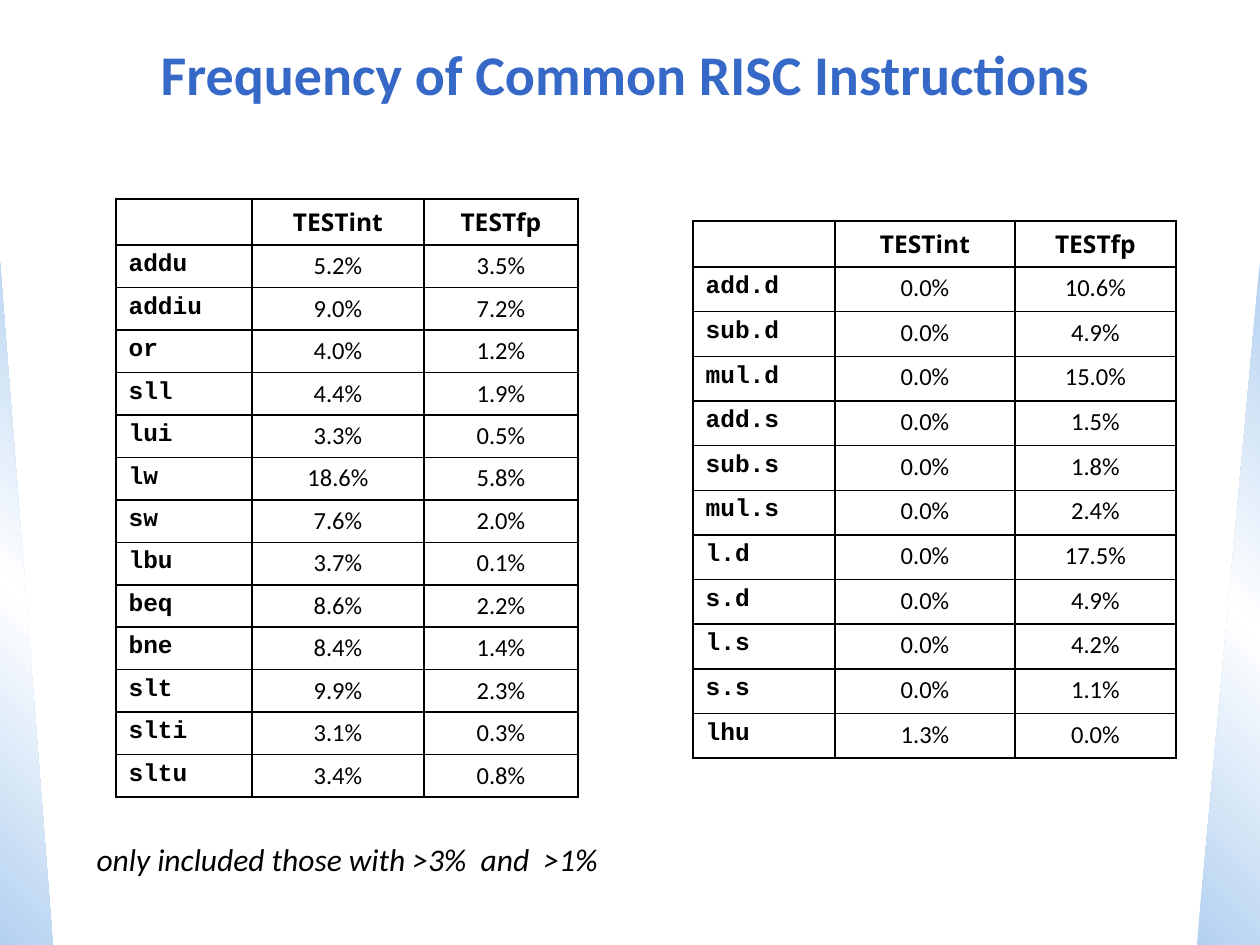
from dataclasses import dataclass
from lxml import etree
from pptx import Presentation
from pptx.dml.color import RGBColor
from pptx.enum.shapes import MSO_SHAPE
from pptx.enum.text import MSO_ANCHOR, MSO_AUTO_SIZE, PP_ALIGN
from pptx.oxml import parse_xml
from pptx.oxml.ns import nsdecls, qn
from pptx.util import Pt

TRI = MSO_SHAPE.RIGHT_TRIANGLE
TOP, MID = MSO_ANCHOR.TOP, MSO_ANCHOR.MIDDLE
LEFT, MIDST = PP_ALIGN.LEFT, PP_ALIGN.CENTER
FIXED = MSO_AUTO_SIZE.NONE
PX = 914400 // 126


@dataclass(frozen=True)
class Theme:
    blue: str = "3568C7"
    ink: str = "000000"
    sky: str = "B3D1F0"
    pale: str = "FFFFFF"
    sans: str = "Calibri"
    head: str = "Noto Sans"
    code: str = "Courier New"
    big: int = 32
    note: int = 18
    cell: int = 14
    rule: int = 1


T = Theme()

TITLE = "Frequency of Common RISC Instructions"
NOTE = "only included those with >3%  and  >1%"
HEAD = ("", "TESTint", "TESTfp")
COMMON = [
    ("addu", 5.2, 3.5), ("addiu", 9.0, 7.2), ("or", 4.0, 1.2),
    ("sll", 4.4, 1.9), ("lui", 3.3, 0.5), ("lw", 18.6, 5.8),
    ("sw", 7.6, 2.0), ("lbu", 3.7, 0.1), ("beq", 8.6, 2.2),
    ("bne", 8.4, 1.4), ("slt", 9.9, 2.3), ("slti", 3.1, 0.3),
    ("sltu", 3.4, 0.8),
]
FLOAT = [
    ("add.d", 0.0, 10.6), ("sub.d", 0.0, 4.9), ("mul.d", 0.0, 15.0),
    ("add.s", 0.0, 1.5), ("sub.s", 0.0, 1.8), ("mul.s", 0.0, 2.4),
    ("l.d", 0.0, 17.5), ("s.d", 0.0, 4.9), ("l.s", 0.0, 4.2),
    ("s.s", 0.0, 1.1), ("lhu", 1.3, 0.0),
]
TABLES = [
    (COMMON, (116, 199), (136, 172, 154), 594),
    (FLOAT, (693, 221), (142, 180, 161), 536),
]
EDGES = [((0, 262, 53, 683), 315, False), ((1197, 262, 63, 683), 45, True)]


def scale(*nums):
    return [n * PX for n in nums]


def write(para, text, size, font, color, align=LEFT, bold=False, slant=False):
    para.alignment = align
    run = para.add_run()
    run.text = text
    face = run.font
    face.size, face.name = Pt(size), font
    face.bold, face.italic = bold, slant
    face.color.rgb = RGBColor.from_string(color)


def place(holder, box, anchor):
    holder.left, holder.top, holder.width, holder.height = scale(*box)
    frame = holder.text_frame
    frame.word_wrap, frame.auto_size = True, FIXED
    frame.vertical_anchor = anchor
    return frame.paragraphs[0]


def edge(slide, box, angle, flip):
    shape = slide.shapes.add_shape(TRI, *scale(*box))
    shape.shadow.inherit = False
    shape.line.fill.background()
    shape.fill.background()
    stops = "".join(
        f'<a:gs pos="{at * 1000}"><a:srgbClr val="{tone}"/></a:gs>'
        for at, tone in ((0, T.sky), (50, T.pale), (100, T.sky)))
    props = shape._element.spPr
    props.replace(props.find(qn("a:noFill")), parse_xml(
        f'<a:gradFill {nsdecls("a")} rotWithShape="1"><a:gsLst>{stops}</a:gsLst>'
        f'<a:lin ang="{angle * 60000}" scaled="0"/></a:gradFill>'))
    if flip:
        props.find(qn("a:xfrm")).set("flipH", "1")
    return shape


def border(cell):
    props = cell._tc.get_or_add_tcPr()
    for side in "LRTB":
        props.append(parse_xml(
            f'<a:ln{side} {nsdecls("a")} w="{Pt(T.rule)}"><a:solidFill>'
            f'<a:srgbClr val="{T.ink}"/></a:solidFill></a:ln{side}>'))
    cell.fill.background()


def grid(slide, data, spot, widths, height):
    rows = [HEAD] + [(op, f"{a:.1f}%", f"{b:.1f}%") for op, a, b in data]
    frame = slide.shapes.add_table(
        len(rows), len(HEAD), *scale(*spot, sum(widths), height))
    table = frame.table
    table.first_row = table.horz_banding = False
    for col, wide in zip(table.columns, widths):
        col.width = wide * PX
    for r, row in enumerate(rows):
        table.rows[r].height = height * PX // len(rows)
        for c, text in enumerate(row):
            cell = table.cell(r, c)
            border(cell)
            cell.vertical_anchor = TOP
            para = cell.text_frame.paragraphs[0]
            if not text:
                end = etree.SubElement(para._p, qn("a:endParaRPr"))
                end.set("sz", str(T.cell * 100))
                continue
            font = T.head if r == 0 else T.sans if c else T.code
            write(para, text, T.cell, font, T.ink,
                  MIDST if c else LEFT, bold=r == 0 or c == 0)


def main():
    deck = Presentation()
    deck.slide_width, deck.slide_height = scale(1260, 945)
    slide = deck.slides.add_slide(deck.slide_layouts[1])
    tree = slide.shapes._spTree
    for i, side in enumerate(EDGES):
        tree.insert(2 + i, edge(slide, *side)._element)
    title, body = slide.placeholders
    write(place(title, (32, 21, 1187, 105), MID), TITLE,
          T.big, T.sans, T.blue, MIDST, bold=True)
    para = place(body, (84, 834, 609, 53), TOP)
    para.space_before = Pt(T.note * 0.2)
    write(para, NOTE, T.note, T.sans, T.ink, slant=True)
    props = para._p.get_or_add_pPr()
    props.set("marL", "0")
    props.set("indent", "0")
    etree.SubElement(props, qn("a:buNone"))
    for item in TABLES:
        grid(slide, *item)
    deck.save("out.pptx")


if __name__ == "__main__":
    main()
